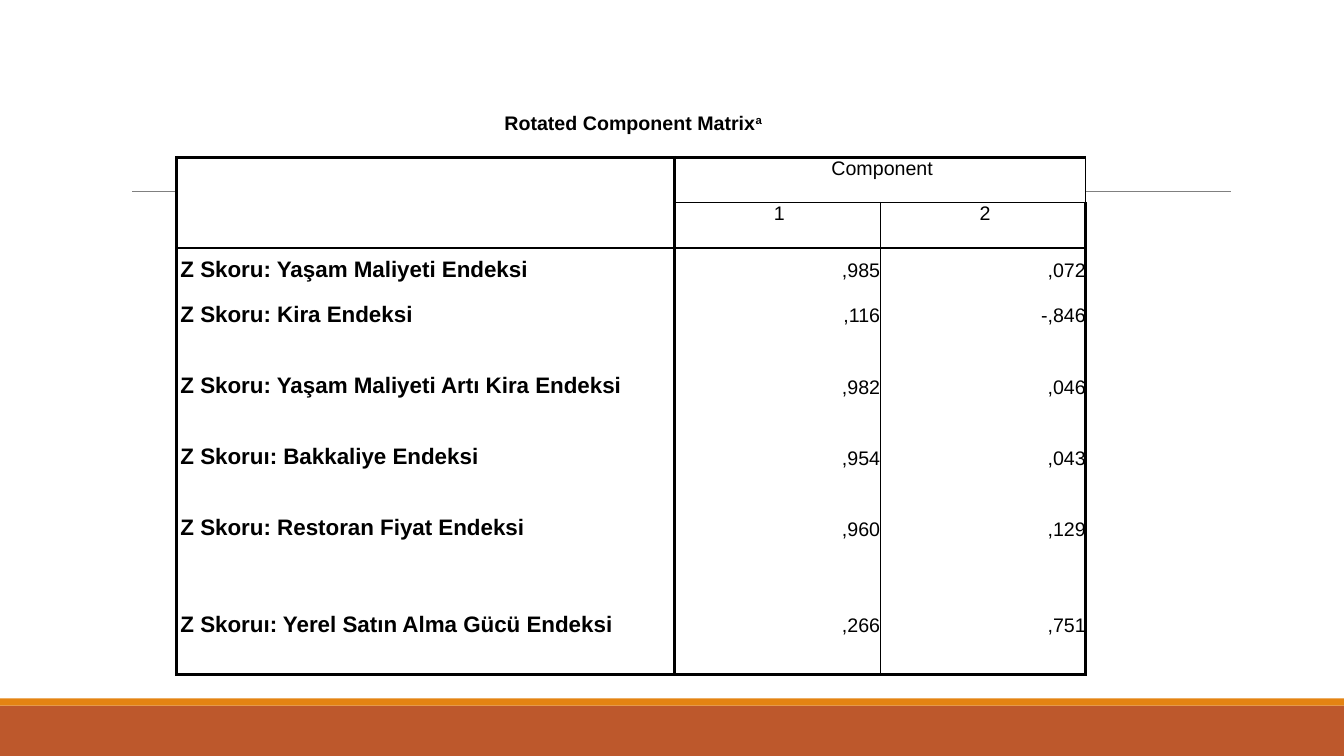
from pptx import Presentation
from pptx.dml.color import RGBColor
from pptx.enum.shapes import MSO_CONNECTOR, MSO_SHAPE
from pptx.enum.text import MSO_ANCHOR, PP_ALIGN
from pptx.oxml.ns import qn
from pptx.util import Inches, Pt
from lxml import etree

LEFT, CENTER, RIGHT = PP_ALIGN.LEFT, PP_ALIGN.CENTER, PP_ALIGN.RIGHT
TOP, MIDDLE = MSO_ANCHOR.TOP, MSO_ANCHOR.MIDDLE
RECT, STRAIGHT = MSO_SHAPE.RECTANGLE, MSO_CONNECTOR.STRAIGHT

THICK, THIN = 2.25, 1
COLS = [4.94, 2.04, 2.04]
ROWS = [0.45] * 5 + [0.96, 0.45, 0.96, 0.96]
FIRST_SCORE_ROW = 3
SCORES = [
    ("Z Skoru: Yaşam Maliyeti Endeksi", ",985", ",072"),
    ("Z Skoru: Kira Endeksi", ",116", "-,846"),
    ("Z Skoru: Yaşam Maliyeti Artı Kira Endeksi", ",982", ",046"),
    ("Z Skoruı: Bakkaliye Endeksi", ",954", ",043"),
    ("Z Skoru: Restoran Fiyat Endeksi", ",960", ",129"),
    ("Z Skoruı: Yerel Satın Alma Gücü Endeksi", ",266", ",751"),
]


def rgb(value):
    return RGBColor.from_string(value)


def cell_borders(row, col):
    """Widths of the left, right, top and bottom edges; 0 means no line."""
    if row == 0:
        return {"L": 0, "R": 0, "T": 0, "B": THICK}
    inner = THICK if col == 0 else THIN
    across = [0, THICK, inner, THICK] + [0] * (len(ROWS) - 4) + [THICK]
    down = [THICK, THICK, THIN, THIN if row == 1 else THICK]
    return {"L": down[col], "R": down[col + 1],
            "T": across[row], "B": across[row + 1]}


class Deck:
    font, ink, paper = "Arial", "000000", "FFFFFF"

    def __init__(self, prs):
        self.s = prs.slides.add_slide(prs.slide_layouts[6])

    def bar(self, x, y, w, h, color):
        sp = self.s.shapes.add_shape(RECT, Inches(x), Inches(y), Inches(w), Inches(h))
        sp.shadow.inherit = False
        sp.fill.solid()
        sp.fill.fore_color.rgb = rgb(color)
        sp.line.fill.background()

    def line(self, x1, y1, x2, y2, color, width):
        ln = self.s.shapes.add_connector(
            STRAIGHT, Inches(x1), Inches(y1), Inches(x2), Inches(y2))
        ln.line.color.rgb = rgb(color)
        ln.line.width = Pt(width)
        etree.SubElement(ln._element.spPr, qn("a:effectLst"))

    def table(self, x, y, cols, rows):
        tbl = self.s.shapes.add_table(
            len(rows), len(cols), Inches(x), Inches(y),
            Inches(sum(cols)), Inches(sum(rows))).table
        tbl.first_row = tbl.horz_banding = False
        for column, width in zip(tbl.columns, cols):
            column.width = Inches(width)
        for row, height in zip(tbl.rows, rows):
            row.height = Inches(height)
        for i in range(len(rows)):
            for j in range(len(cols)):
                self.frame(tbl.cell(i, j), cell_borders(i, j))
        return tbl

    def frame(self, cell, borders):
        tcPr = cell._tc.get_or_add_tcPr()
        for side, width in borders.items():
            ln = etree.SubElement(tcPr, qn("a:ln" + side), w=str(int(Pt(width))))
            if width:
                fill = etree.SubElement(ln, qn("a:solidFill"))
                etree.SubElement(fill, qn("a:srgbClr"), val=self.ink)
            else:
                etree.SubElement(ln, qn("a:noFill"))
        cell.fill.solid()
        cell.fill.fore_color.rgb = rgb(self.paper)
        for side in ("left", "right", "top", "bottom"):
            setattr(cell, "margin_" + side, 0)

    def text(self, cell, text, align=CENTER, anchor=TOP, size=14, bold=False, note=""):
        cell.vertical_anchor = anchor
        p = cell.text_frame.paragraphs[0]
        for name, value in {"alignment": align, "line_spacing": Pt(16)}.items():
            setattr(p, name, value)
        p._p.get_or_add_pPr().set("marL", str(Inches(0.04)))
        style = {"name": self.font, "size": Pt(size), "bold": bold}
        for part in filter(None, (text, note)):
            r = p.add_run()
            r.text = part
            for name, value in style.items():
                setattr(r.font, name, value)
            r.font.color.rgb = rgb(self.ink)
        if note:
            r._r.get_or_add_rPr().set("baseline", "30000")


def main():
    prs = Presentation()
    prs.slide_width, prs.slide_height = Inches(13.33), Inches(7.5)
    deck = Deck(prs)

    # Footer bars and title rule
    deck.bar(0, 7, 13.33, 0.5, "BD582C")
    deck.bar(0, 6.93, 13.33, 0.07, "E48312")
    deck.line(1.31, 1.9, 12.21, 1.9, "808080", 0.5)

    # Table grid and merged headers
    tbl = deck.table(1.75, 1.11, COLS, ROWS)
    for first, last in [((0, 0), (0, 2)), ((1, 0), (2, 0)), ((1, 1), (1, 2))]:
        tbl.cell(*first).merge(tbl.cell(*last))
    deck.text(tbl.cell(0, 0), "Rotated Component Matrix", bold=True, note="a")
    deck.text(tbl.cell(1, 1), "Component")
    for col in (1, 2):
        deck.text(tbl.cell(2, col), str(col))

    # Component scores
    for i, (label, *values) in enumerate(SCORES, FIRST_SCORE_ROW):
        deck.text(tbl.cell(i, 0), label, LEFT, MIDDLE, size=16, bold=True)
        for j, value in enumerate(values, 1):
            deck.text(tbl.cell(i, j), value, RIGHT, MIDDLE)

    prs.save("out.pptx")


if __name__ == "__main__":
    main()
